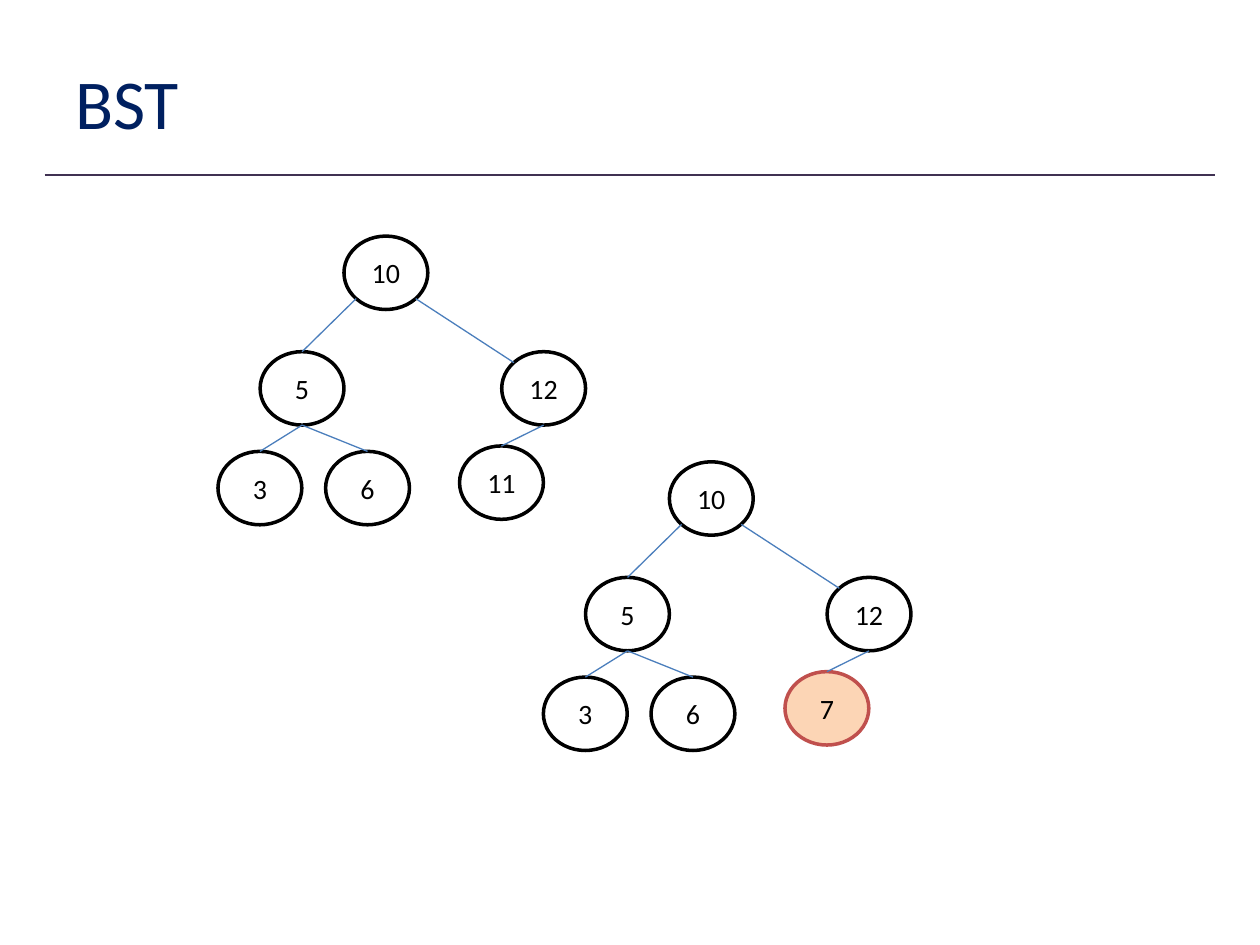
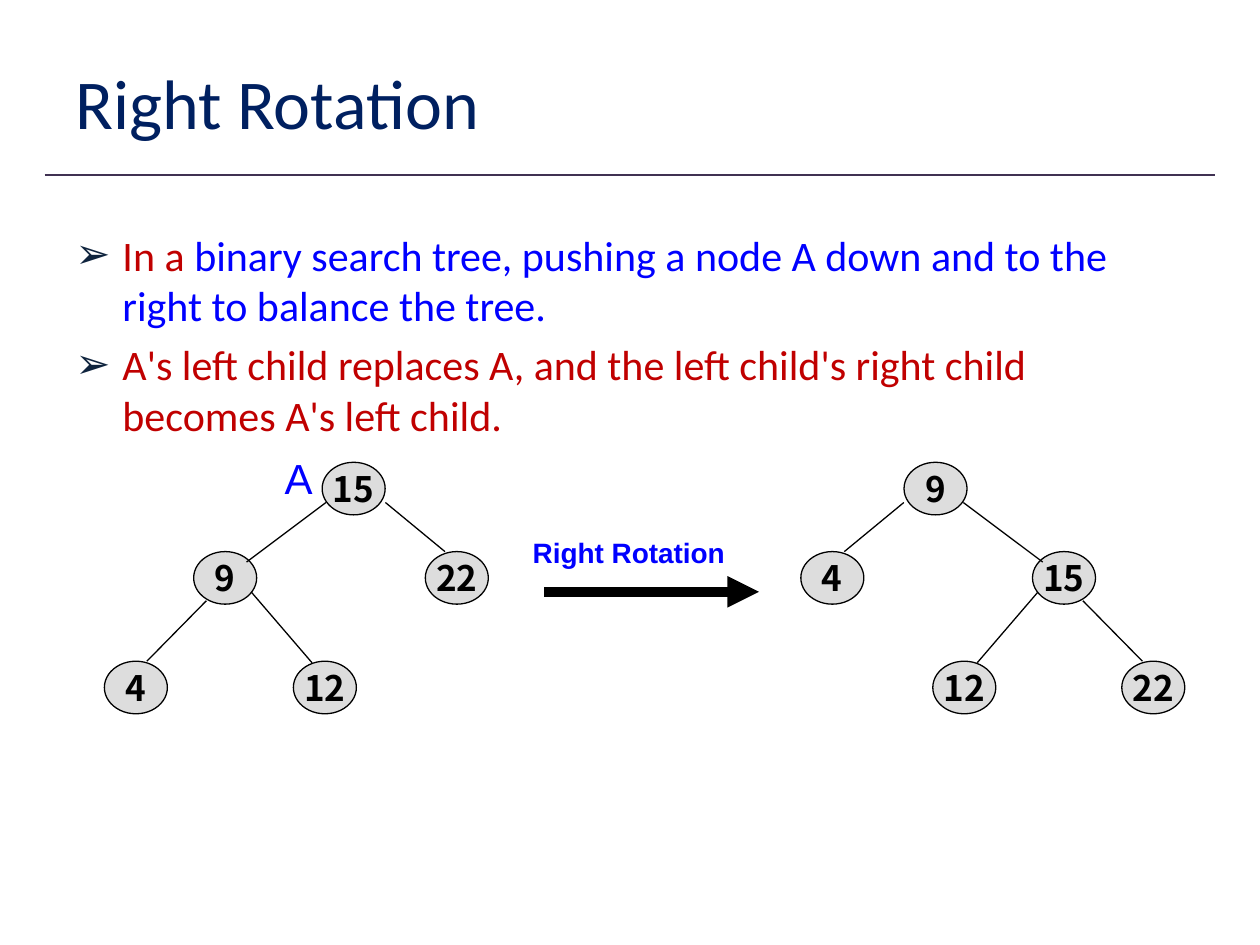
"""Build two slides on binary search trees and right rotation."""
from dataclasses import dataclass, replace

from lxml.etree import SubElement as Sub
from pptx import Presentation
from pptx.dml.color import RGBColor as Rgb
from pptx.enum.shapes import MSO_CONNECTOR as Wire, MSO_SHAPE as Form
from pptx.enum.text import MSO_ANCHOR as Anchor, PP_ALIGN as Align
from pptx.oxml.ns import qn
from pptx.util import Cm, Pt


@dataclass(frozen=True)
class Theme:
    title: str = "002060"
    rule: str = "403152"
    bullet: str = "0F243E"
    red: str = "C00000"
    blue: str = "0000FF"
    black: str = "000000"
    font: str = "Calibri"
    sans: str = "Arial"
    big: int = 40
    body: int = 24
    small: int = 16


@dataclass(frozen=True)
class Node:
    wide: float
    high: float
    fill: str
    line: str
    thick: float
    edge: str
    size: int
    font: str
    bold: bool = False


LOOK = Theme()
PLAIN = Node(1.69, 1.48, "FFFFFF", LOOK.black, 2, "4B7EBC", 16, LOOK.font)
HOT = replace(PLAIN, fill="FCD5B5", line="C0504D")
GREY = Node(1.27, 1.06, "DDDDDD", LOOK.black, 0.75, LOOK.black, 20,
            "Noto Sans CJK KR", True)

SEARCH = {
    "spots": [(0, 0), (-1.69, 2.33), (3.18, 2.33),
              (-2.54, 4.34), (-0.37, 4.34), (2.33, 4.23)],
    "edges": [(-0.6, 1.26, -1.69, 2.33), (0.6, 1.26, 2.58, 2.55),
              (-1.69, 3.81, -2.54, 4.34), (-1.69, 3.81, -0.37, 4.34),
              (3.18, 3.81, 2.33, 4.23)],
}
TURN = {
    "spots": [(0, 0), (-2.08, 1.8), (2.59, 1.8), (0.58, 4.01), (4.39, 4.01)],
    "edges": [(-0.64, 0.81, -1.84, 1.8), (0.56, 0.81, 2.16, 2.01),
              (2.06, 2.62, 0.84, 4.04), (2.97, 2.79, 4.17, 4.01)],
}
POINTS = [
    [("In a ", LOOK.red),
     ("binary search tree, pushing a node A down and to the right "
      "to balance the tree.", LOOK.blue)],
    [("A's left child replaces A, and the left child's right child "
      "becomes A's left child.", LOOK.red)],
]


def style(font, name, size, color=None, bold=False):
    font.name, font.size, font.bold = name, Pt(size), bold
    if color:
        font.color.rgb = Rgb.from_string(color)


def link(shapes, ends, color, thick):
    line = shapes.add_connector(Wire.STRAIGHT, *map(Cm, ends))
    line.line.color.rgb = Rgb.from_string(color)
    line.line.width = Pt(thick)
    Sub(line._element.spPr, qn("a:effectLst"))
    return line


def box(slide, place, top=0.13):
    frame = slide.shapes.add_textbox(*map(Cm, place)).text_frame
    frame.word_wrap = True
    frame.margin_top = Cm(top)
    return frame


def label(slide, text, place, size, bold=False):
    para = box(slide, place, 0.2).paragraphs[0]
    para.text = text
    style(para.font, LOOK.sans, size, LOOK.blue, bold)


def ball(shapes, text, x, y, node):
    form = shapes.add_shape(Form.OVAL, Cm(x - node.wide / 2), Cm(y),
                            Cm(node.wide), Cm(node.high))
    form.shadow.inherit = False
    form.fill.solid()
    form.fill.fore_color.rgb = Rgb.from_string(node.fill)
    form.line.color.rgb = Rgb.from_string(node.line)
    form.line.width = Pt(node.thick)
    frame = form.text_frame
    frame.word_wrap = False
    frame.vertical_anchor = Anchor.MIDDLE
    frame.margin_left = frame.margin_right = 0
    frame.margin_top = frame.margin_bottom = 0
    para = frame.paragraphs[0]
    para.text = text
    para.alignment = Align.CENTER
    style(para.font, node.font, node.size, LOOK.black, node.bold)
    return form


def tree(slide, x, y, keys, plan, node, flip=1, hot=None):
    shapes = slide.shapes.add_group_shape().shapes
    balls = {}
    for key, (dx, dy) in zip(keys.split(), plan["spots"]):
        kind = HOT if key == hot else node
        balls[dx, dy] = ball(shapes, key, x + flip * dx, y + dy, kind)
    for x1, y1, x2, y2 in plan["edges"]:
        ends = x + flip * x1, y + y1, x + flip * x2, y + y2
        line = link(shapes, ends, node.edge, 0.75)
        if (x2, y2) in balls:
            line.end_connect(balls[x2, y2], 0)


def page(deck, title):
    slide = deck.slides.add_slide(deck.slide_layouts[6])
    link(slide.shapes, (0.9, 3.53, 24.5, 3.53), LOOK.rule, 1)
    frame = box(slide, (1.27, 0.76, 22.86, 2.57))
    frame.vertical_anchor = Anchor.MIDDLE
    para = frame.paragraphs[0]
    para.text = title
    style(para.font, LOOK.font, LOOK.big, LOOK.title)
    return slide


def bullets(slide):
    frame = box(slide, (1.27, 3.73, 22.86, 13.28), 0.89)
    for i, runs in enumerate(POINTS):
        para = frame.add_paragraph() if i else frame.paragraphs[0]
        props = para._p.get_or_add_pPr()
        props.set("marL", str(Cm(0.95)))
        props.set("indent", str(-Cm(0.95)))
        tint = Sub(props, qn("a:buClr"))
        Sub(tint, qn("a:srgbClr"), val=LOOK.bullet)
        Sub(props, qn("a:buFont"), typeface=LOOK.sans)
        Sub(props, qn("a:buChar"), char="➢")
        para.space_before = Pt(5 if i else 0)
        style(para.font, LOOK.font, LOOK.body)
        for text, color in runs:
            run = para.add_run()
            run.text = text
            run.font.color.rgb = Rgb.from_string(color)


def search(deck):
    slide = page(deck, "BST")
    tree(slide, 7.78, 4.76, "10 5 12 3 6 11", SEARCH, PLAIN)
    tree(slide, 14.34, 9.31, "10 5 12 3 6 7", SEARCH, PLAIN, hot="7")


def rotate(deck):
    slide = page(deck, "Right Rotation")
    bullets(slide)
    tree(slide, 18.86, 9.32, "9 4 15 12 22", TURN, GREY)
    arrow = link(slide.shapes, (10.97, 11.93, 15.3, 11.93), LOOK.black, 6)
    Sub(arrow.line._get_or_add_ln(), qn("a:tailEnd"), type="triangle")
    label(slide, "Right Rotation", (10.49, 10.59, 4.8, 0.94), LOOK.small, True)
    tree(slide, 7.13, 9.32, "15 22 9 12 4", TURN, GREY, flip=-1)
    label(slide, "A", (5.49, 8.92, 1.19, 1.27), LOOK.body)


def main():
    deck = Presentation()
    deck.slide_width, deck.slide_height = Cm(25.4), Cm(19.05)
    search(deck)
    rotate(deck)
    deck.save("out.pptx")


if __name__ == "__main__":
    main()
